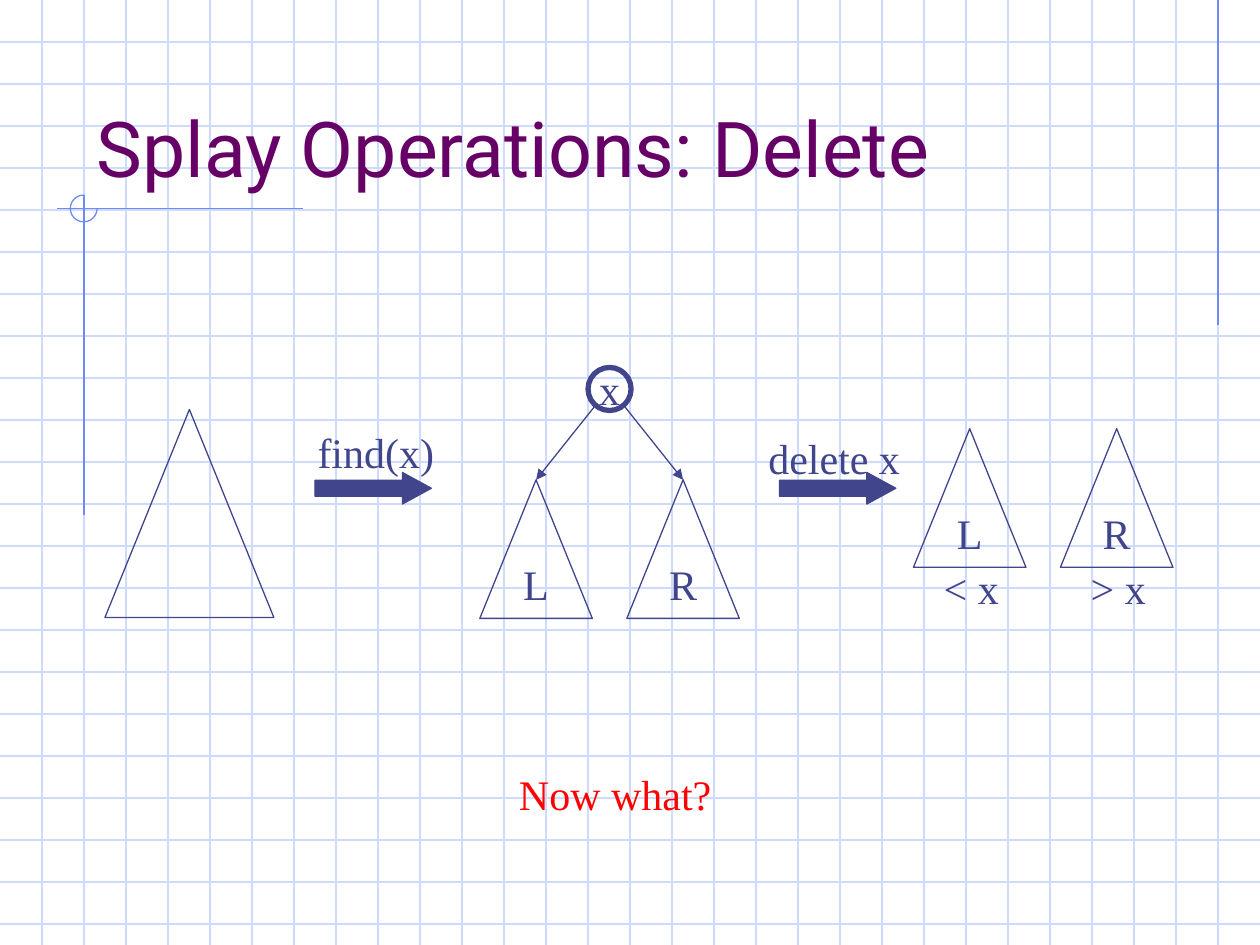
from lxml.etree import SubElement
from pptx import Presentation
from pptx.dml.color import RGBColor
from pptx.enum.shapes import MSO_CONNECTOR as Conn, MSO_SHAPE as Kind
from pptx.enum.text import MSO_ANCHOR as Anchor, MSO_AUTO_SIZE as Fit, PP_ALIGN as Align
from pptx.oxml.ns import qn
from pptx.util import Pt

WHITE = RGBColor(0xFF, 0xFF, 0xFF)
GRID = RGBColor(0xCF, 0xDB, 0xFD)
TRIM = RGBColor(0x6F, 0x89, 0xF7)
PLUM = RGBColor(0x66, 0x00, 0x66)
INK = RGBColor(0x40, 0x45, 0x8C)
RED = RGBColor(0xFF, 0x00, 0x00)

WIDE, HIGH, STEP = 720, 540, 24
TREE_W, TREE_H, TREE_GAP = 64.3, 79.2, 84


def add_line(slide, start, end, color, head=False):
    line = slide.shapes.add_connector(
        Conn.STRAIGHT, *(Pt(v) for v in (*start, *end)))
    line.line.color.rgb = color
    line.line.width = Pt(0.75)
    if head:
        SubElement(line.line._get_or_add_ln(), qn("a:tailEnd"), type="triangle")
    SubElement(line._element.spPr, qn("a:effectLst"))
    return line


def add_form(slide, kind, box, color=INK, fill=None, width=0.75):
    form = slide.shapes.add_shape(kind, *(Pt(v) for v in box))
    form.shadow.inherit = False
    form.line.color.rgb = color
    form.line.width = Pt(width)
    if fill is None:
        form.fill.background()
    else:
        form.fill.solid()
        form.fill.fore_color.rgb = fill
    return form


def write(shape, text, color=INK, size=24, font="Times New Roman",
          align=Align.LEFT, anchor=Anchor.TOP, wrap=False):
    frame = shape.text_frame
    frame.word_wrap = wrap
    frame.vertical_anchor = anchor
    frame.margin_left = frame.margin_right = Pt(7.2)
    frame.margin_top = frame.margin_bottom = Pt(3.6)
    para = frame.paragraphs[0]
    para.alignment = align
    run = para.add_run()
    run.text = text
    run.font.size = Pt(size)
    run.font.name = font
    run.font.color.rgb = color


def add_label(slide, text, box, color=INK):
    # The box is a little wider than its text, which stays on one line
    label = slide.shapes.add_textbox(*(Pt(v) for v in box))
    write(label, text, color)
    label.text_frame.auto_size = Fit.SHAPE_TO_FIT_TEXT


def draw_paper(slide, wide, high):
    # Squared paper
    for y in range(STEP, high, STEP):
        add_line(slide, (0, y), (wide, y), GRID)
    for x in range(STEP, wide, STEP):
        add_line(slide, (x, 0), (x, high), GRID)
    # Trim lines and the open ring where two of them cross
    add_line(slide, (696, 0), (696, 186), TRIM)
    add_line(slide, (173, 119.2), (32.5, 119.2), TRIM)
    add_line(slide, (48, 111.5), (48, 294.5), TRIM)
    ring = add_form(slide, Kind.ARC, (40.2, 111.5, 15.3, 15.3), TRIM)
    ring.adjustments[0] = 0
    ring.adjustments[1] = 162  # 270 degrees


def place_title(slide, box):
    title = slide.shapes.title
    title.left, title.top, title.width, title.height = (Pt(v) for v in box)
    write(title, "Splay Operations: Delete", PLUM, 44, "Roboto",
          anchor=Anchor.BOTTOM, wrap=True)
    title.text_frame.auto_size = Fit.NONE
    # Bring the title in front of the paper
    slide.shapes._spTree.append(title._element)


def draw_step(slide, text, arrow, label):
    shape = add_form(slide, Kind.RIGHT_ARROW, (*arrow, 66.5, 18), fill=INK)
    shape.adjustments[1] = 0.917
    add_label(slide, text, label)


def draw_pair(slide, left, top):
    trees = []
    for i, name in enumerate("LR"):
        box = (left + i * TREE_GAP, top, TREE_W, TREE_H)
        tree = add_form(slide, Kind.ISOSCELES_TRIANGLE, box)
        write(tree, name, align=Align.CENTER, anchor=Anchor.MIDDLE)
        trees.append(tree)
    return trees


def draw_splayed(slide, left, top):
    # Root x above its two subtrees
    trees = draw_pair(slide, left, top + 64.2)
    mid = left + (TREE_GAP + TREE_W) / 2
    root = add_form(slide, Kind.OVAL, (mid - 12.3, top, 24.6, 24.6), width=3)
    write(root, "x", align=Align.CENTER, anchor=Anchor.MIDDLE)
    for side, tree in zip((-1, 1), trees):
        apex = (mid + side * TREE_GAP / 2, top + 64.2)
        edge = add_line(slide, (mid + side * 8.7, top + 22.4), apex, INK, True)
        edge.end_connect(tree, 0)


def draw_split(slide, left, top):
    # Two loose trees with their key ranges below
    draw_pair(slide, left, top)
    for i, text in enumerate(("< x", "> x")):
        add_label(slide, text, (left + 10.2 + i * TREE_GAP, top + 73.2, 47, 36))


def main():
    deck = Presentation()
    deck.slide_width, deck.slide_height = Pt(WIDE), Pt(HIGH)
    slide = deck.slides.add_slide(deck.slide_layouts[5])
    slide.background.fill.solid()
    slide.background.fill.fore_color.rgb = WHITE

    draw_paper(slide, WIDE, HIGH)
    place_title(slide, (48, 24, 612, 90))

    # Whole tree, splayed tree, then split trees
    add_form(slide, Kind.ISOSCELES_TRIANGLE, (60, 234, 96.5, 118.8))
    draw_step(slide, "find(x)", (180, 270), (174.4, 240, 83, 36))
    draw_splayed(slide, 274.2, 210)
    draw_step(slide, "delete x", (445.4, 270), (432, 243.4, 92, 36))
    draw_split(slide, 522, 245)

    # Closing question
    add_label(slide, "Now what?", (289.5, 435.5, 127, 36), RED)
    deck.save("out.pptx")


if __name__ == "__main__":
    main()
